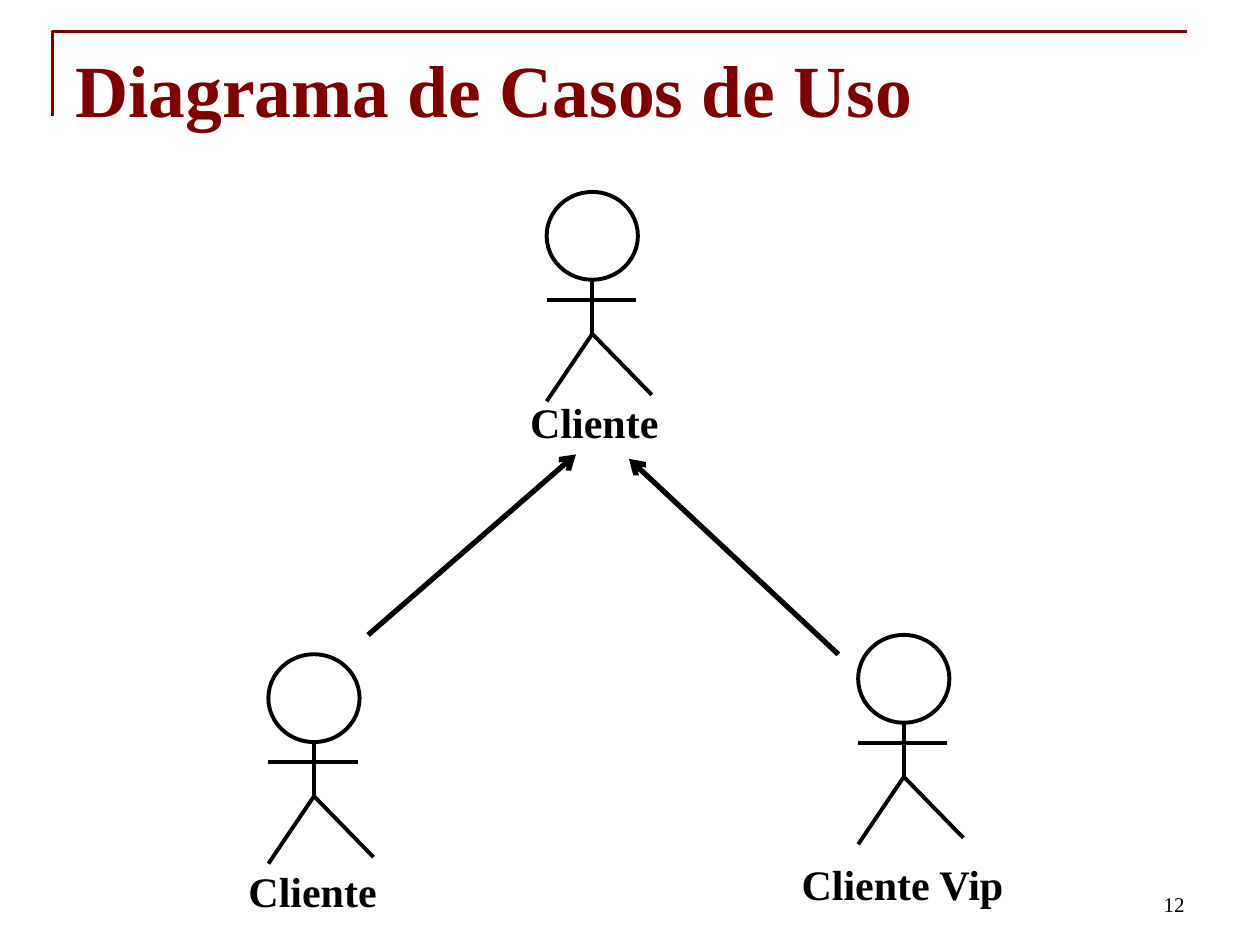
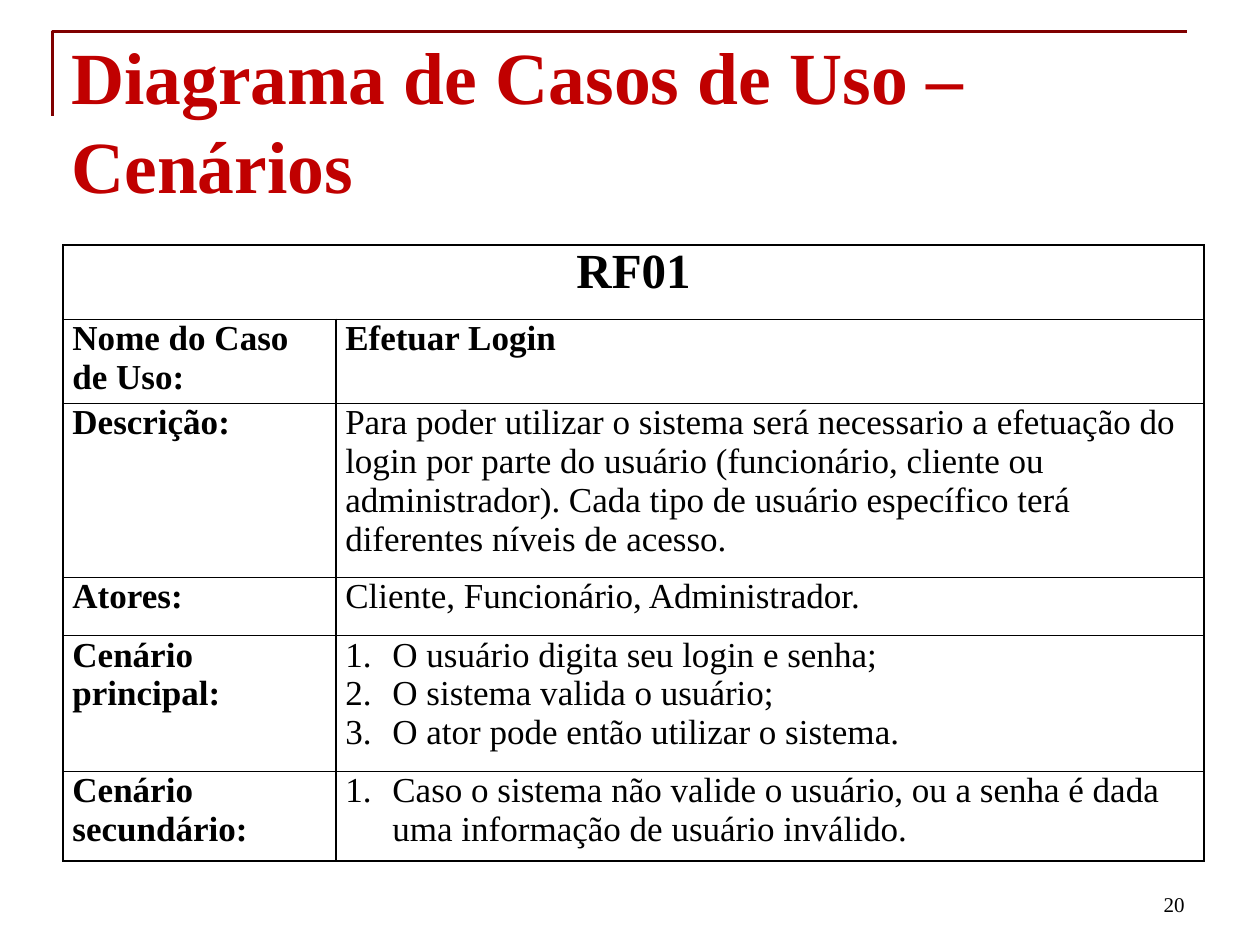
from lxml import etree
from pptx import Presentation
from pptx import util as u
from pptx.dml.color import RGBColor
from pptx.enum import shapes as kinds, text as txt
from pptx.oxml import ns

FONT = "Times New Roman"
BLACK, WHITE, MAROON, RED = "000000", "FFFFFF", "800000", "C00000"
ALIGN = txt.PP_ALIGN


def color(hex_code):
    """Turn a hex string into a colour."""
    return RGBColor.from_string(hex_code)


def child(parent, tag, **attributes):
    """Append a DrawingML element to parent."""
    return etree.SubElement(parent, ns.qn(tag), attributes)


def write(paragraph, words, size, ink=BLACK, bold=False, align=ALIGN.LEFT):
    """Add one formatted run to a paragraph."""
    paragraph.alignment = align
    run = paragraph.add_run()
    run.text = words
    run.font.name, run.font.size, run.font.bold = FONT, u.Pt(size), bold
    run.font.color.rgb = color(ink)


def text_box(slide, box, words, size, wrap=True, anchor=txt.MSO_ANCHOR.TOP,
             **style):
    """Place a one-paragraph text in box (left, top, width, height in cm)."""
    frame = slide.shapes.add_textbox(*map(u.Cm, box)).text_frame
    frame.word_wrap = wrap
    frame.vertical_anchor = anchor
    if not wrap:
        frame.auto_size = txt.MSO_AUTO_SIZE.SHAPE_TO_FIT_TEXT
    write(frame.paragraphs[0], words, size, **style)


def outline(shape, ink, width):
    """Give a closed or open shape a plain line and no fill."""
    shape.shadow.inherit = False
    shape.fill.background()
    shape.line.color.rgb = color(ink)
    shape.line.width = u.Pt(width)


def stroke(shapes, start, end, width, arrow=False):
    """Draw a straight black line between two points in cm."""
    line = shapes.add_connector(kinds.MSO_CONNECTOR.STRAIGHT,
                                *map(u.Cm, (*start, *end)))
    line.line.color.rgb = color(BLACK)
    line.line.width = u.Pt(width)
    if arrow:
        child(line.line._get_or_add_ln(), "a:tailEnd", type="arrow")
    child(line._element.spPr, "a:effectLst")


def corner_rule(slide, left, top, width, height):
    """Draw the rule that runs up the left side and along the top."""
    builder = slide.shapes.build_freeform(u.Cm(left), u.Cm(top + height))
    builder.add_line_segments([(u.Cm(left), u.Cm(top)),
                               (u.Cm(left + width), u.Cm(top))], close=False)
    outline(builder.convert_to_shape(), MAROON, 1.5)


def base_slide(deck, title, title_at, title_ink, number):
    """Add a slide with the shared rule, title and page number."""
    slide = deck.slides.add_slide(deck.slide_layouts[6])
    corner_rule(slide, 1.06, 0.63, 22.86, 1.7)
    text_box(slide, (*title_at, 22.86, 3.18), title, 42,
             ink=title_ink, bold=True)
    text_box(slide, (18.2, 17.34, 5.93, 1.27), number, 12,
             anchor=txt.MSO_ANCHOR.BOTTOM, align=ALIGN.RIGHT)
    return slide


def actor(slide, left, top, name, name_box):
    """Draw a stick figure from the top left of its head, and its name."""
    figure = slide.shapes.add_group_shape().shapes
    head = figure.add_shape(kinds.MSO_SHAPE.OVAL,
                            *map(u.Cm, (left, top, 1.84, 1.77)))
    outline(head, BLACK, 2.25)
    neck, hip = (0.92, 1.77), (0.92, 2.86)
    limbs = [(neck, hip), (hip, (2.12, 4.09)), (hip, (0, 4.22)),
             ((0, 2.18), (1.8, 2.18))]
    for start, end in limbs:
        stroke(figure, (left + start[0], top + start[1]),
               (left + end[0], top + end[1]), 2.25)
    text_box(slide, name_box, name, 24, wrap=False, bold=True)


def number_item(paragraph):
    """Turn a paragraph into an item of a numbered list."""
    props = paragraph._p.get_or_add_pPr()
    props.set("marL", str(u.Cm(0.95)))
    props.set("indent", str(-u.Cm(0.95)))
    child(props, "a:buFont", typeface="+mj-lt")
    child(props, "a:buAutoNum", type="arabicPeriod")


def fill_cell(cell, lines, size=20, bold=False, numbered=False,
              align=ALIGN.LEFT):
    """Write the lines of a cell."""
    frame = cell.text_frame
    for index, words in enumerate(lines):
        paragraph = frame.add_paragraph() if index else frame.paragraphs[0]
        write(paragraph, words, size, bold=bold, align=align)
        if numbered:
            number_item(paragraph)


def frame_cell(cell):
    """Give a cell thin black borders, a white fill and tight margins."""
    cell.margin_left = cell.margin_right = u.Cm(0.19)
    cell.margin_top = cell.margin_bottom = 0
    props = cell._tc.get_or_add_tcPr()
    for side in ("a:lnL", "a:lnR", "a:lnT", "a:lnB"):
        border = child(props, side, w=str(u.Pt(1)))
        child(child(border, "a:solidFill"), "a:srgbClr", val=BLACK)
    cell.fill.solid()
    cell.fill.fore_color.rgb = color(WHITE)


def scenario_table(slide, left, top, widths, heights, code, entries):
    """Build the use case table: a code across the top, then entries."""
    table = slide.shapes.add_table(
        len(heights), len(widths),
        *map(u.Cm, (left, top, sum(widths), sum(heights)))).table
    table.first_row = table.horz_banding = False
    for column, width in zip(table.columns, widths):
        column.width = u.Cm(width)
    for row, height in zip(table.rows, heights):
        row.height = u.Cm(height)
    for cell in table.iter_cells():
        frame_cell(cell)
    table.cell(0, 0).merge(table.cell(0, 1))
    fill_cell(table.cell(0, 0), [code], 28, bold=True, align=ALIGN.CENTER)
    for row, (label, lines, style) in enumerate(entries, start=1):
        fill_cell(table.cell(row, 0), [label], bold=True)
        fill_cell(table.cell(row, 1), lines, **style)


def actors_slide(deck):
    """Slide with the generalisation of the client actors."""
    slide = base_slide(deck, "Diagrama de Casos de Uso", (1.27, 0.76),
                       MAROON, "12")
    actor(slide, 5.41, 13.19, "Cliente", (4.76, 17.33, 3.12, 1.27))
    actor(slide, 11.02, 3.87, "Cliente", (10.44, 7.87, 3.12, 1.27))
    actor(slide, 17.3, 12.8, "Cliente Vip", (15.91, 17.18, 4.62, 1.27))
    stroke(slide.shapes, (7.42, 12.8), (11.61, 9.16), 3, arrow=True)
    stroke(slide.shapes, (16.9, 13.19), (12.68, 9.25), 3, arrow=True)


def scenarios_slide(deck):
    """Slide with the scenarios of the login use case."""
    slide = base_slide(deck, "Diagrama de Casos de Uso – Cenários",
                       (1.19, 0.51), RED, "20")
    entries = [
        ("Nome do Caso de Uso:", ["Efetuar Login"], {"bold": True}),
        ("Descrição:",
         ["Para poder utilizar o sistema será necessario a efetuação do "
          "login por parte do usuário (funcionário, cliente ou "
          "administrador). Cada tipo de usuário específico terá "
          "diferentes níveis de acesso."], {}),
        ("Atores:", ["Cliente, Funcionário, Administrador."], {}),
        ("Cenário principal:",
         ["O usuário digita seu login e senha;",
          "O sistema valida o usuário;",
          "O ator pode então utilizar o sistema."], {"numbered": True}),
        ("Cenário secundário:",
         ["Caso o sistema não valide o usuário, ou a senha é dada uma "
          "informação de usuário inválido."], {"numbered": True}),
    ]
    scenario_table(slide, 1.27, 4.94, (5.5, 17.5),
                   (1.5, 1.17, 3.51, 1.17, 2.74, 1.8), "RF01", entries)


deck = Presentation()
deck.slide_width, deck.slide_height = u.Cm(25.4), u.Cm(19.05)
actors_slide(deck)
scenarios_slide(deck)
deck.save("out.pptx")
